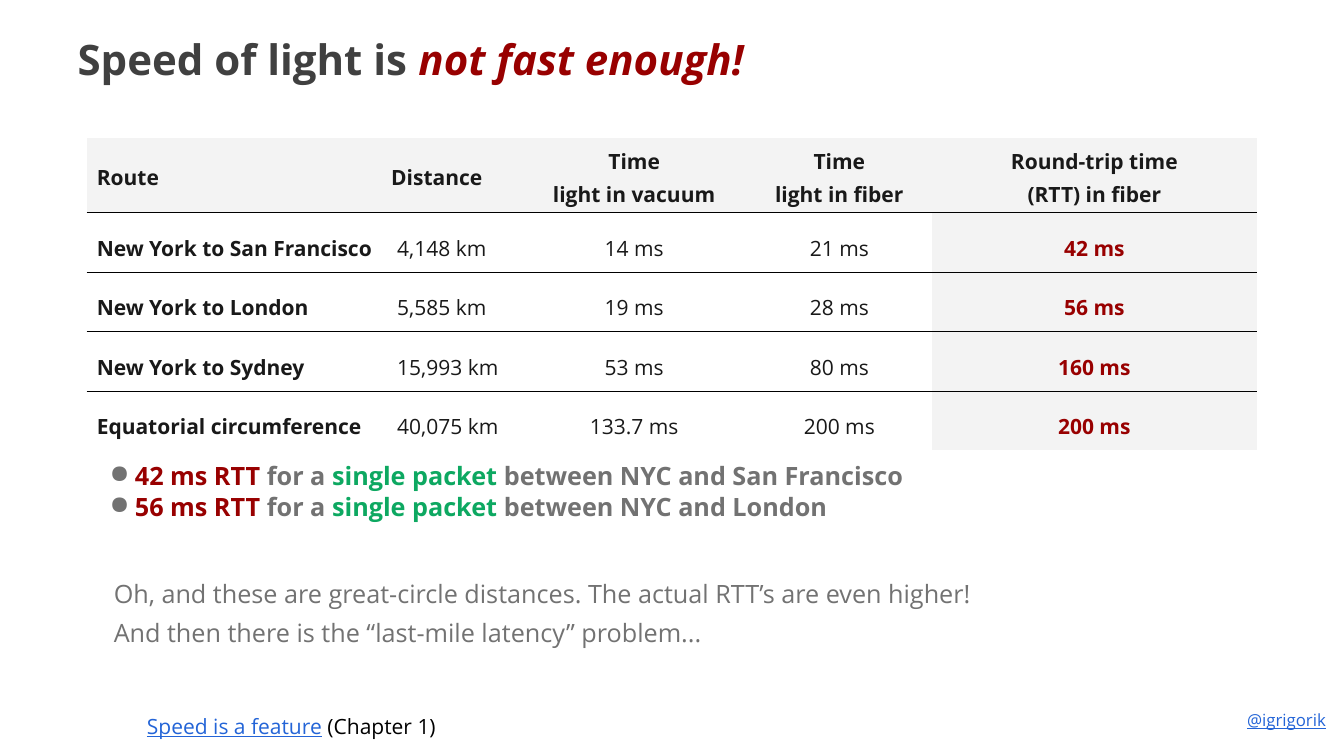
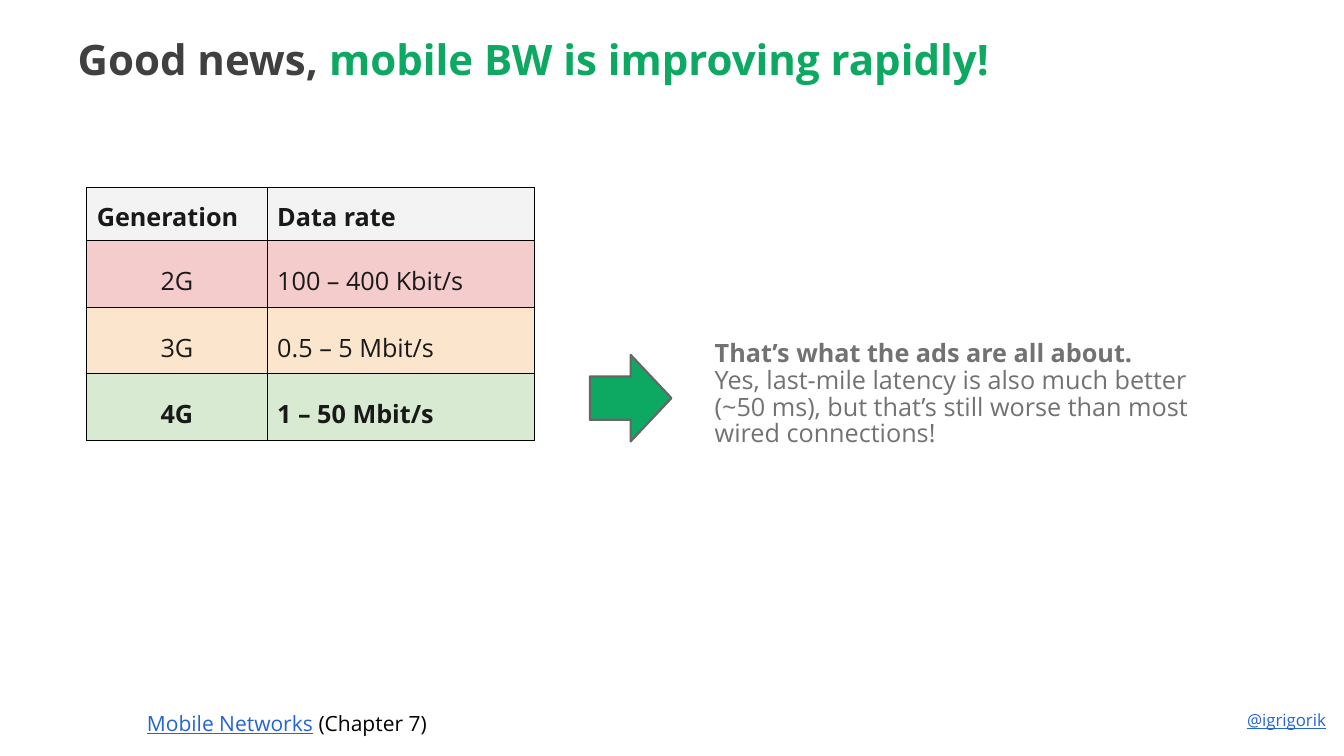
"""Build two slides on network latency and mobile bandwidth."""
from lxml.etree import SubElement
from pptx import Presentation
from pptx.dml.color import RGBColor
from pptx.enum.shapes import MSO_SHAPE
from pptx.enum.text import MSO_ANCHOR, PP_ALIGN
from pptx.oxml.ns import qn
from pptx.util import Inches, Pt

FONT = "Open Sans"
RED = RGBColor(0x98, 0x00, 0x00)
GREEN = RGBColor(0x0D, 0xA8, 0x61)
GRAY = RGBColor(0x72, 0x72, 0x72)
EDGE = RGBColor(0x66, 0x66, 0x66)
DARK = RGBColor(0x40, 0x40, 0x40)
INK = RGBColor(0x19, 0x19, 0x19)
BLACK = RGBColor(0x00, 0x00, 0x00)
BLUE = RGBColor(0x23, 0x64, 0xD7)
PALE = RGBColor(0xF3, 0xF3, 0xF3)
PINK = RGBColor(0xF4, 0xCC, 0xCC)
PEACH = RGBColor(0xFC, 0xE5, 0xCD)
MINT = RGBColor(0xD9, 0xEA, 0xD3)

LEFT, CENTER, RIGHT = PP_ALIGN.LEFT, PP_ALIGN.CENTER, PP_ALIGN.RIGHT
TOP, MIDDLE, BOTTOM = MSO_ANCHOR.TOP, MSO_ANCHOR.MIDDLE, MSO_ANCHOR.BOTTOM
PLAIN_STYLE = "{2D5ABB26-0587-4C30-8999-92F81FD0307C}"
SIDES = ("left", "top", "right", "bottom")

WIDE, HIGH = 13.33, 7.5
EDGE_X = 0.86
HANDLE = "@igrigorik"

BOLD = {"bold": True}
LINK = {"color": BLUE, "underline": True}
SINGLE = ("single packet", {"color": GREEN, **BOLD})

ROUTES = [
    ("Route", "Distance", "Time\nlight in vacuum", "Time\nlight in fiber",
     "Round-trip time\n(RTT) in fiber"),
    ("New York to San Francisco", "4,148 km", "14 ms", "21 ms", "42 ms"),
    ("New York to London", "5,585 km", "19 ms", "28 ms", "56 ms"),
    ("New York to Sydney", "15,993 km", "53 ms", "80 ms", "160 ms"),
    ("Equatorial circumference", "40,075 km", "133.7 ms", "200 ms", "200 ms"),
]
RATES = [
    ("Generation", "Data rate"),
    ("2G", "100 – 400 Kbit/s"),
    ("3G", "0.5 – 5 Mbit/s"),
    ("4G", "1 – 50 Mbit/s"),
]
TINTS = [PALE, PINK, PEACH, MINT]

PACKETS = [
    [(f"{time} RTT", {"color": RED, **BOLD}), (" for a ", BOLD), SINGLE,
     (f" between NYC and {city}", BOLD)]
    for time, city in (("42 ms", "San Francisco"), ("56 ms", "London"))
]
ASIDES = [
    [("Oh, and these are great-circle distances. "
      "The actual RTT’s are even higher!", {})],
    [("And then there is the “last-mile latency” problem...", {})],
]
ADS = [
    [("That’s what the ads are all about.", BOLD)],
    [("Yes, last-mile latency is also much better (~50 ms), "
      "but that’s still worse than most wired connections!", {})],
]


def style(font, form):
    """Set font attributes from a dict."""
    for key, val in form.items():
        if key == "color":
            font.color.rgb = val
        else:
            setattr(font, key, val)


def indent(para, left, hang, bullet):
    """Give a paragraph a hanging indent and an optional bullet."""
    props = para._p.get_or_add_pPr()
    props.set("marL", str(Inches(left)))
    props.set("indent", str(Inches(hang)))
    if bullet:
        tint = SubElement(props, qn("a:buClr"))
        SubElement(tint, qn("a:srgbClr")).set("val", str(GRAY))
        SubElement(props, qn("a:buChar")).set("char", bullet)


def write(frame, paras, form, align=LEFT, lead=1, gap=0, hang=None, bullet=None):
    """Fill a text frame with paragraphs of (text, format) runs."""
    for num, runs in enumerate(paras):
        para = frame.add_paragraph() if num else frame.paragraphs[0]
        para.alignment = align
        para.line_spacing = lead
        if num and gap:
            para.space_before = Pt(gap)
        if hang:
            indent(para, *hang, bullet)
        for text, extra in runs:
            run = para.add_run()
            run.text = text
            style(run.font, {"name": FONT, **form, **extra})


def pad(item, inch):
    """Set all four margins of a cell or frame."""
    for side in SIDES:
        setattr(item, f"margin_{side}", Inches(inch))


def place(shape, box):
    """Move and size a shape in inches."""
    for key, val in zip(("left", "top", "width", "height"), box):
        setattr(shape, key, Inches(val))


def label(slide, box, paras, form, anchor=TOP, **rules):
    """Add a wrapped text box."""
    frame = slide.shapes.add_textbox(*map(Inches, box)).text_frame
    frame.word_wrap = True
    frame.vertical_anchor = anchor
    pad(frame, 0.1)
    write(frame, paras, form, **rules)


def border(cell, sides, width):
    """Draw black lines on the named sides of a cell."""
    props = cell._tc.get_or_add_tcPr()
    for side in sides:
        line = SubElement(props, qn(f"a:ln{side}"))
        line.set("w", str(Pt(width)))
        fill = SubElement(line, qn("a:solidFill"))
        SubElement(fill, qn("a:srgbClr")).set("val", str(BLACK))


def grid(slide, top, rows, cols, highs, size, look):
    """Add a table; look gives each cell its format by row and column."""
    frame = slide.shapes.add_table(
        len(rows), len(cols), Inches(EDGE_X), Inches(top),
        Inches(sum(cols)), Inches(sum(highs)))
    table = frame.table
    table.first_row = table.horz_banding = False
    table._tbl.tblPr.find(qn("a:tableStyleId")).text = PLAIN_STYLE
    for col, wide in zip(table.columns, cols):
        col.width = Inches(wide)
    for row, high in zip(table.rows, highs):
        row.height = Inches(high)
    for r, row in enumerate(rows):
        for c, text in enumerate(row):
            cell, form = table.cell(r, c), look(r, c)
            pad(cell, 0.1 if r else 0.04)
            cell.margin_left = Inches(form["inset"])
            cell.vertical_anchor = MIDDLE
            border(cell, form["sides"], form["line"])
            if form["fill"] is None:
                cell.fill.background()
            else:
                cell.fill.solid()
                cell.fill.fore_color.rgb = form["fill"]
            write(cell.text_frame, [[(part, {})] for part in text.split("\n")],
                  {"size": Pt(size), "color": form["color"], "bold": form["bold"]},
                  align=form["align"], lead=1.38 if r else 1.15)


def route_look(r, c):
    """Format a cell of the route table."""
    last = c == 4
    return {
        "inset": 0.04 if r == 0 and c else 0.1,
        "sides": "B" if r < len(ROUTES) - 1 else "",
        "line": 0.5,
        "fill": PALE if r == 0 or last else None,
        "color": RED if r and last else INK,
        "bold": r == 0 or c == 0 or last,
        "align": CENTER if c > 1 else LEFT,
    }


def rate_look(r, c):
    """Format a cell of the data rate table."""
    return {
        "inset": 0.1,
        "sides": "LRTB",
        "line": 0.75,
        "fill": TINTS[r],
        "color": INK,
        "bold": r in (0, len(RATES) - 1),
        "align": CENTER if r and c == 0 else LEFT,
    }


def start(deck, title, source, chapter, foot):
    """Add a slide with its title, source line and handle."""
    slide = deck.slides.add_slide(deck.slide_layouts[5])
    head = slide.shapes.title
    place(head, (0.67, 0.13, 12, 0.8))
    frame = head.text_frame
    frame.word_wrap = True
    frame.vertical_anchor = BOTTOM
    pad(frame, 0.1)
    write(frame, [title], {"size": Pt(30), "color": DARK, **BOLD})
    label(slide, (1.36, foot, 9.56, 0.38),
          [[(source, LINK), (f" ({chapter})", {})]],
          {"size": Pt(15), "color": BLACK}, anchor=MIDDLE)
    label(slide, (12.11, 6.94, 1.14, 0.51), [[(HANDLE, LINK)]],
          {"size": Pt(12)}, align=RIGHT)
    return slide


def main():
    """Build and save the deck."""
    deck = Presentation()
    deck.slide_width, deck.slide_height = Inches(WIDE), Inches(HIGH)
    body = {"size": Pt(18), "color": GRAY}

    light = start(
        deck, [("Speed of light is ", {}),
               ("not fast enough!", {"color": RED, "italic": True})],
        "Speed is a feature", "Chapter 1", 7.01)
    grid(light, 1.37, ROUTES, (2.98, 1.33, 2.24, 1.83, 3.23),
         [0.74] + [0.59] * 4, 15, route_look)
    label(light, (0.74, 4.46, 12, 1.1), PACKETS, body,
          lead=1.02, hang=(0.5, -0.25), bullet="●")
    label(light, (0.78, 5.48, 9.98, 1.19), ASIDES, body, anchor=MIDDLE,
          lead=1.02, gap=6, hang=(0.5, -0.25))

    mobile = start(
        deck, [("Good news, ", {}),
               ("mobile BW is improving rapidly!", {"color": GREEN})],
        "Mobile Networks", "Chapter 7", 6.98)
    grid(mobile, 1.86, RATES, (1.79, 2.65), [0.53] + [0.66] * 3, 18, rate_look)
    label(mobile, (6.99, 3.29, 5.08, 2.59), ADS, body, lead=0.88)
    arrow = mobile.shapes.add_shape(
        MSO_SHAPE.RIGHT_ARROW, *map(Inches, (5.85, 3.52, 0.81, 0.86)))
    arrow.shadow.inherit = False
    arrow.fill.solid()
    arrow.fill.fore_color.rgb = GREEN
    arrow.line.color.rgb = EDGE
    arrow.line.width = Pt(1.5)

    deck.save("out.pptx")


if __name__ == "__main__":
    main()
